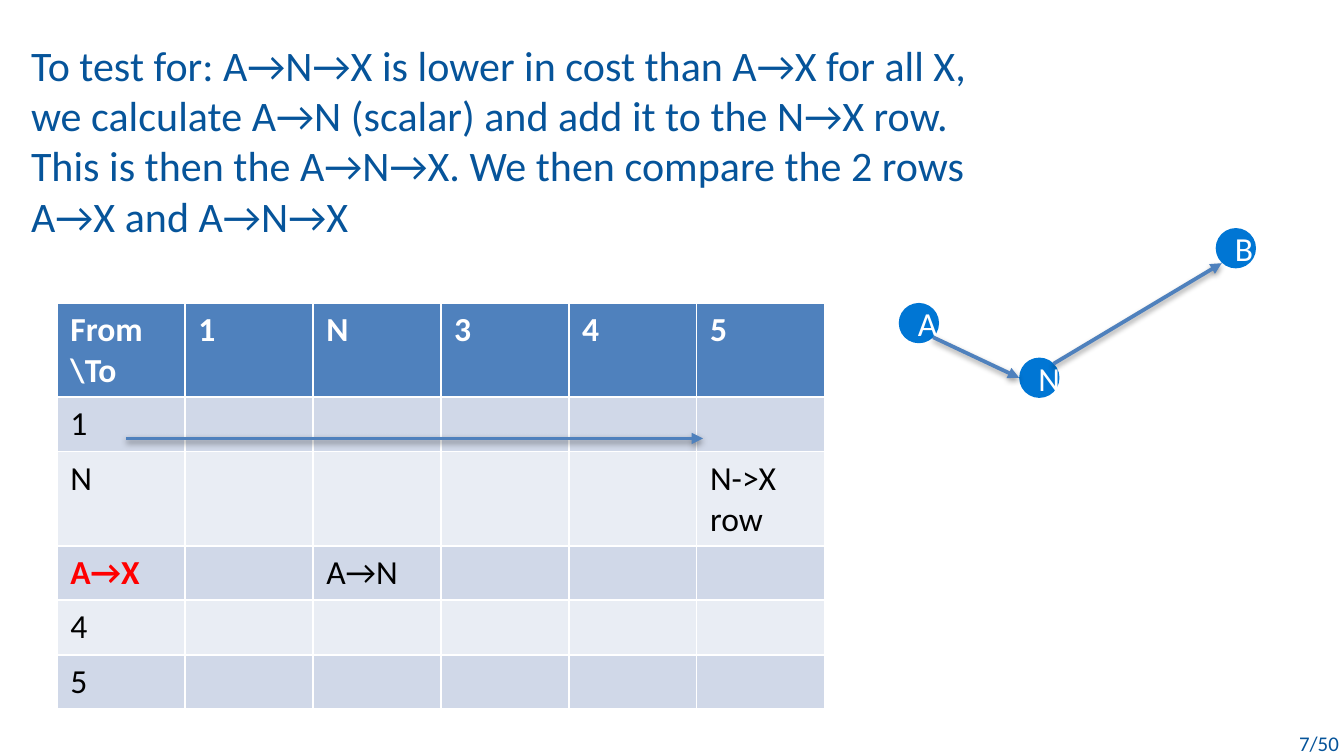
from lxml import etree
from pptx import Presentation
from pptx.dml.color import RGBColor
from pptx.enum.shapes import MSO_CONNECTOR, MSO_SHAPE
from pptx.enum.text import MSO_ANCHOR, MSO_AUTO_SIZE, PP_ALIGN
from pptx.oxml import parse_xml
from pptx.oxml.ns import nsdecls, qn
from pptx.util import Pt

NAVY = RGBColor(0x06, 0x54, 0x9A)
NODE_BLUE = RGBColor(0x00, 0x76, 0xD4)
STEEL = RGBColor(0x4F, 0x81, 0xBD)
BANDS = (RGBColor(0xD0, 0xD8, 0xE8), RGBColor(0xE9, 0xED, 0xF4))
WHITE = RGBColor(0xFF, 0xFF, 0xFF)
BLACK = RGBColor(0, 0, 0)
RED = RGBColor(0xFF, 0, 0)

HEADING = (
    "To test for: A→N→X is lower in cost than A→X for all X, "
    "we calculate A→N (scalar) and add it to the N→X row. "
    "This is then the A→N→X. We then compare the 2 rows\vA→X and A→N→X"
)
COST_ROWS = [
    ["From \\To", "1", "N", "3", "4", "5"],
    ["1", "", "", "", "", ""],
    ["N", "", "", "", "", "N->X row"],
    ["A→X", "", "A→N", "", "", ""],
    ["4", "", "", "", "", ""],
    ["5", "", "", "", "", ""],
]
COLUMN_WIDTH, ROW_HEIGHT = 68.55, 29.2
NODE_SIZE = 21.6
NODES = [("A", 481.5, 162.3), ("N", 546, 191.6), ("B", 651.3, 122.2)]
ARROWS = [
    (499.9, 180.7, 546, 202.4),
    (564.4, 194.9, 654.5, 141),
    (67.7, 234.9, 376.6, 234.9),
]
SHADOW = (
    f'<a:effectLst {nsdecls("a")}>'
    '<a:outerShdw blurRad="40000" dist="20000" dir="5400000" rotWithShape="0">'
    '<a:srgbClr val="000000"><a:alpha val="38000"/></a:srgbClr>'
    "</a:outerShdw></a:effectLst>"
)


def format_text(frame, size, color, bold=False, align=PP_ALIGN.LEFT):
    values = {"name": "Calibri", "size": Pt(size), "bold": bold}
    for para in frame.paragraphs:
        para.alignment = align
        for name, value in values.items():
            setattr(para.font, name, value)
        para.font.color.rgb = color


def set_heading(page):
    title = page.shapes.title
    place = {"left": 9.4, "top": 17.3, "width": 546.5, "height": 86.4}
    for name, value in place.items():
        setattr(title, name, Pt(value))
    frame = title.text_frame
    frame.text = HEADING
    frame.vertical_anchor = MSO_ANCHOR.TOP
    frame.auto_size = MSO_AUTO_SIZE.NONE
    format_text(frame, 22.5, NAVY)


def add_page_number(page, text):
    box = page.shapes.add_textbox(Pt(663.1), Pt(388.1), Pt(61.2), Pt(20.9))
    frame = box.text_frame
    frame.word_wrap = True
    frame.text = text
    format_text(frame, 11.2, NAVY, align=PP_ALIGN.RIGHT)


def add_node(page, label, left, top):
    node = page.shapes.add_shape(
        MSO_SHAPE.OVAL, Pt(left), Pt(top), Pt(NODE_SIZE), Pt(NODE_SIZE)
    )
    node.shadow.inherit = False
    node.fill.solid()
    node.fill.fore_color.rgb = NODE_BLUE
    node.line.fill.background()
    frame = node.text_frame
    frame.vertical_anchor = MSO_ANCHOR.MIDDLE
    frame.text = label
    format_text(frame, 18, WHITE)


def add_arrow(page, *ends):
    arrow = page.shapes.add_connector(
        MSO_CONNECTOR.STRAIGHT, *(Pt(value) for value in ends)
    )
    arrow.line.color.rgb = STEEL
    arrow.line.width = Pt(2)
    line = arrow.line._get_or_add_ln()
    etree.SubElement(line, qn("a:tailEnd"), type="triangle")
    arrow._element.spPr.append(parse_xml(SHADOW))


def add_cost_table(page):
    """Add the grid; the default table style supplies its white borders."""
    rows, columns = len(COST_ROWS), len(COST_ROWS[0])
    table = page.shapes.add_table(
        rows, columns, Pt(30.5), Pt(162.3),
        Pt(columns * COLUMN_WIDTH), Pt(rows * ROW_HEIGHT),
    ).table
    for column in table.columns:
        column.width = Pt(COLUMN_WIDTH)
    for index, texts in enumerate(COST_ROWS):
        table.rows[index].height = Pt(ROW_HEIGHT)
        header = index == 0
        for cell, text in zip(table.rows[index].cells, texts):
            marked = text == "A→X"
            cell.fill.solid()
            cell.fill.fore_color.rgb = STEEL if header else BANDS[(index - 1) % 2]
            cell.text = text
            color = WHITE if header else RED if marked else BLACK
            format_text(cell.text_frame, 18, color, header or marked)


def main():
    deck = Presentation()
    deck.slide_width, deck.slide_height = Pt(720), Pt(405)
    page = deck.slides.add_slide(deck.slide_layouts[5])
    add_page_number(page, "7/50")
    set_heading(page)
    for node in NODES:
        add_node(page, *node)
    add_cost_table(page)
    for arrow in ARROWS:
        add_arrow(page, *arrow)
    deck.save("out.pptx")


if __name__ == "__main__":
    main()
